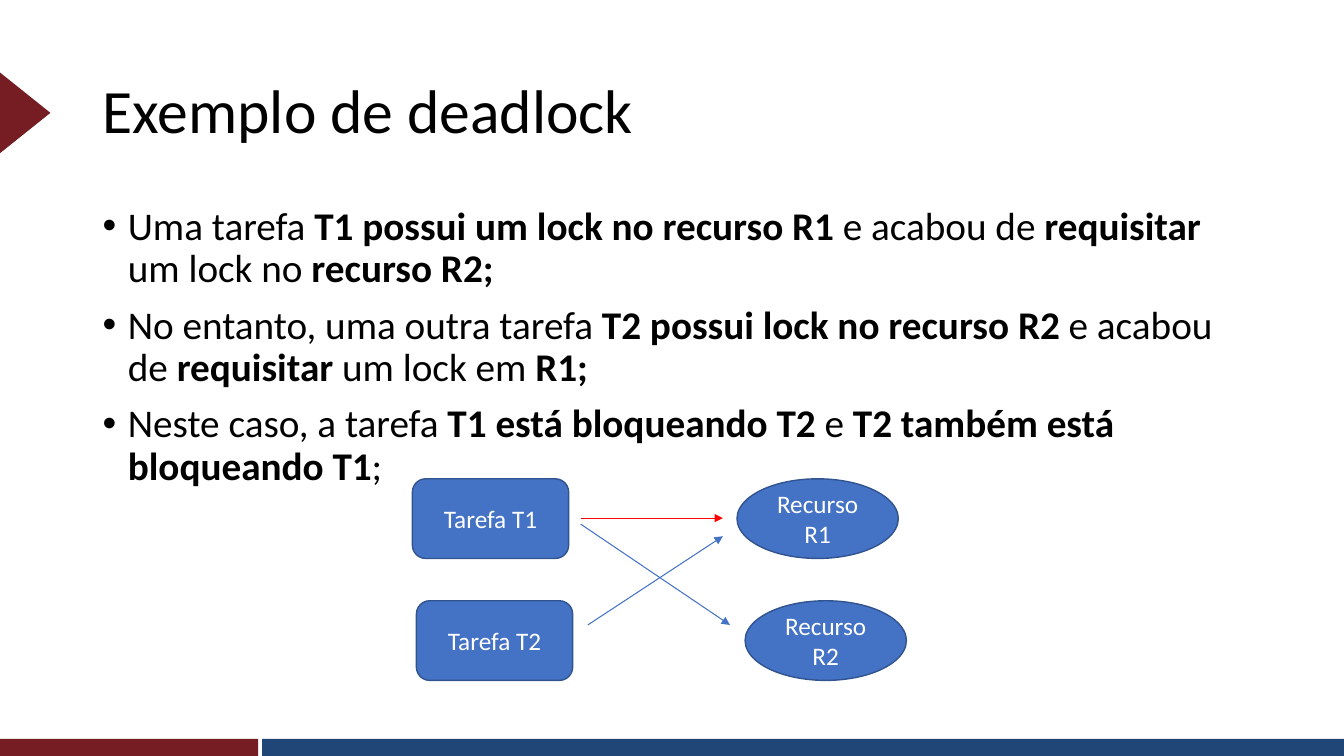
from lxml import etree
from pptx import Presentation
from pptx import util as u
from pptx.dml.color import RGBColor
from pptx.enum import shapes, text
from pptx.oxml.ns import qn

FONT = "Calibri"
BLACK = RGBColor(0x00, 0x00, 0x00)
WHITE = RGBColor(0xFF, 0xFF, 0xFF)
MAROON = RGBColor(0x75, 0x1D, 0x23)
NAVY = RGBColor(0x20, 0x46, 0x77)
BLUE = RGBColor(0x44, 0x72, 0xC4)
DARK_BLUE = RGBColor(0x31, 0x53, 0x8F)
RED = RGBColor(0xFF, 0x00, 0x00)

MSO = shapes.MSO_SHAPE

# Each bullet is a list of (text, bold) runs
BULLETS = [
    [("Uma tarefa ", False), ("T1 possui um lock no recurso R1 ", True),
     ("e acabou de ", False), ("requisitar", True),
     (" um lock no ", False), ("recurso R2;", True)],
    [("No entanto, uma outra tarefa ", False),
     ("T2 possui lock no recurso R2", True), (" e acabou de ", False),
     ("requisitar", True), (" um lock em ", False), ("R1;", True)],
    [("Neste caso, a tarefa ", False), ("T1 está bloqueando T2", True),
     (" e ", False), ("T2 também está bloqueando T1", True), (";", False)],
]


def add_run(p, words, size, color, bold=False):
    r = p.add_run()
    r.text = words
    r.font.name = FONT
    r.font.size = u.Pt(size)
    r.font.bold = bold
    r.font.color.rgb = color


def add_block(s, kind, x, y, w, h, fill, line=None):
    sp = s.shapes.add_shape(kind, *map(u.Inches, (x, y, w, h)))
    sp.shadow.inherit = False
    sp.fill.solid()
    sp.fill.fore_color.rgb = fill
    if line is None:
        sp.line.fill.background()
    else:
        sp.line.color.rgb = line
        sp.line.width = u.Pt(1)
    return sp


def add_node(s, kind, x, y, w, label):
    sp = add_block(s, kind, x, y, w, 0.79, BLUE, DARK_BLUE)
    tf = sp.text_frame
    tf.word_wrap = True
    tf.vertical_anchor = text.MSO_ANCHOR.MIDDLE
    p = tf.paragraphs[0]
    p.alignment = text.PP_ALIGN.CENTER
    add_run(p, label, 18, WHITE)


def add_text_box(s, y, h, anchor):
    tf = s.shapes.add_textbox(*map(u.Inches, (0.92, y, 11.5, h))).text_frame
    tf.word_wrap = True
    tf.vertical_anchor = anchor
    return tf


def add_title(s, words):
    p = add_text_box(s, 0.4, 1.45, text.MSO_ANCHOR.MIDDLE).paragraphs[0]
    p.line_spacing = 0.9
    add_run(p, words, 44, BLACK)


def add_bullets(s, bullets):
    tf = add_text_box(s, 2, 4.76, text.MSO_ANCHOR.TOP)
    for i, runs in enumerate(bullets):
        p = tf.add_paragraph() if i else tf.paragraphs[0]
        p.line_spacing = 0.9
        p.space_before = u.Pt(10 if i else 0)
        pPr = p._p.get_or_add_pPr()
        pPr.set("marL", str(u.Inches(0.25)))
        pPr.set("indent", str(-u.Inches(0.25)))
        etree.SubElement(pPr, qn("a:buFont"), typeface="Arial")
        etree.SubElement(pPr, qn("a:buChar"), char="•")
        for words, bold in runs:
            add_run(p, words, 28, BLACK, bold)


def add_arrow(s, x1, y1, x2, y2, color):
    cn = s.shapes.add_connector(shapes.MSO_CONNECTOR.STRAIGHT,
                                *map(u.Inches, (x1, y1, x2, y2)))
    cn.line.color.rgb = color
    cn.line.width = u.Pt(0.75)
    etree.SubElement(cn.line._get_or_add_ln(), qn("a:tailEnd"), type="triangle")
    etree.SubElement(cn._element.spPr, qn("a:effectLst"))


def main():
    prs = Presentation()
    prs.slide_width = u.Inches(13.33)
    prs.slide_height = u.Inches(7.5)
    s = prs.slides.add_slide(prs.slide_layouts[6])

    # Footer bars and title marker
    add_block(s, MSO.RECTANGLE, 0, 7.33, 2.56, 0.17, MAROON)
    add_block(s, MSO.RECTANGLE, 2.6, 7.33, 10.73, 0.17, NAVY)
    marker = add_block(s, MSO.ISOSCELES_TRIANGLE, -0.15, 0.87, 0.8, 0.5, MAROON)
    marker.rotation = 90

    # Title and explanation
    add_title(s, "Exemplo de deadlock")
    add_bullets(s, BULLETS)

    # Tasks and resources
    add_node(s, MSO.ROUNDED_RECTANGLE, 4.09, 4.75, 1.55, "Tarefa T1")
    add_node(s, MSO.ROUNDED_RECTANGLE, 4.13, 5.96, 1.55, "Tarefa T2")
    add_node(s, MSO.OVAL, 7.31, 4.75, 1.6, "Recurso R1")
    add_node(s, MSO.OVAL, 7.39, 5.96, 1.6, "Recurso R2")

    # Locks held and requested
    add_arrow(s, 5.76, 5.14, 7.17, 5.14, RED)
    add_arrow(s, 5.76, 5.2, 7.24, 6.2, BLUE)
    add_arrow(s, 5.83, 6.2, 7.17, 5.32, BLUE)

    prs.save("out.pptx")


if __name__ == "__main__":
    main()
